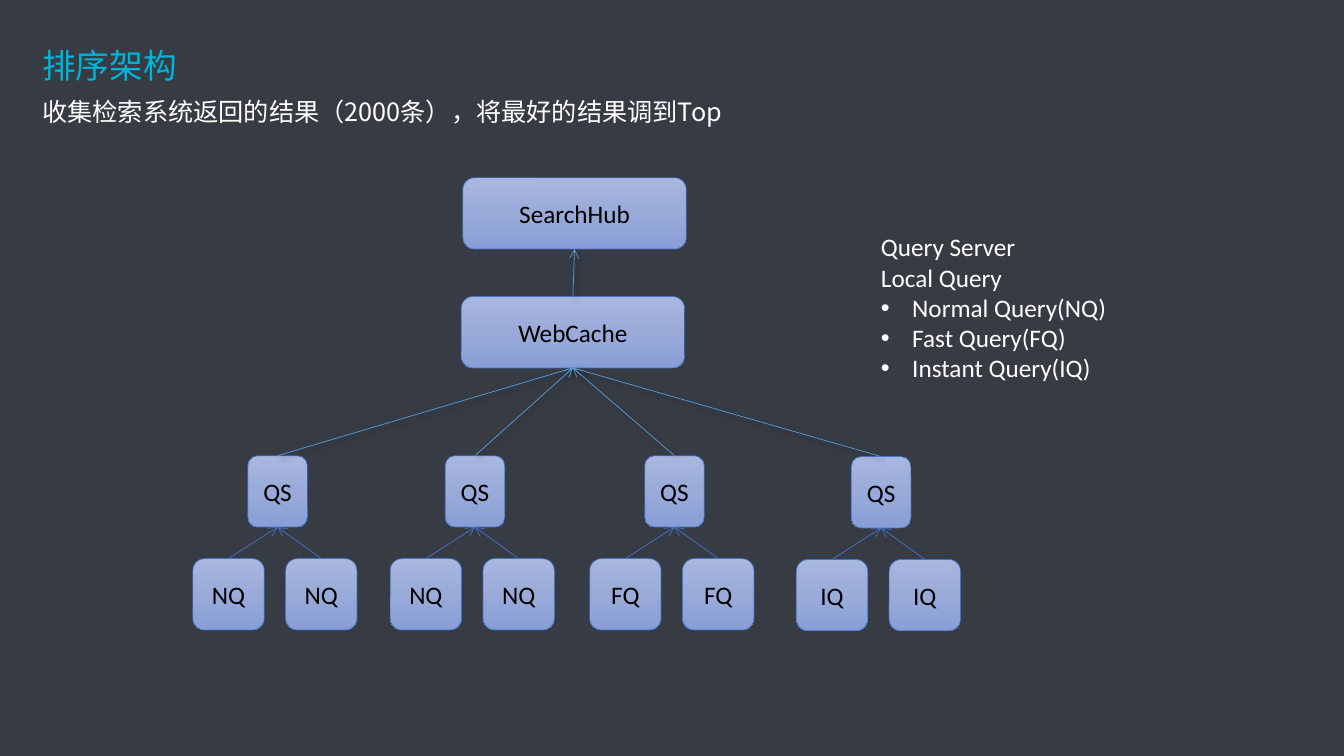
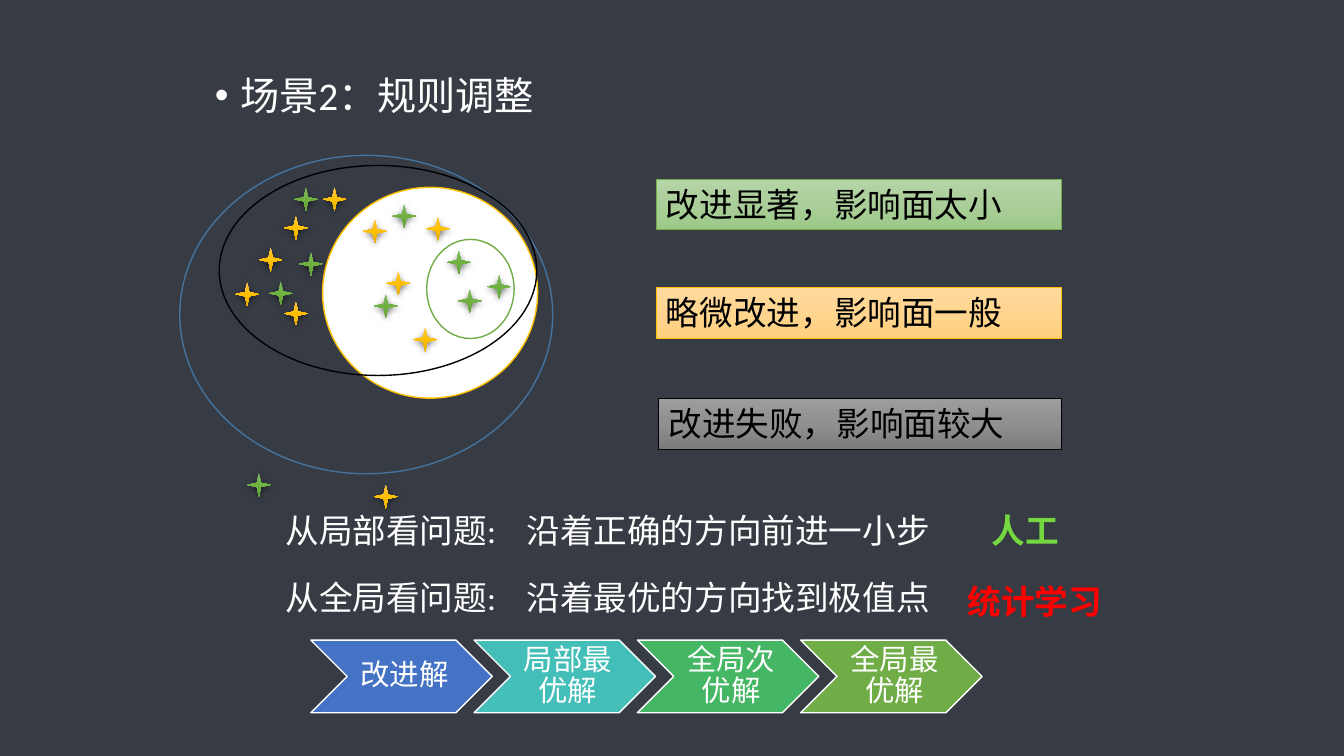
import copy

import lxml.etree
import pptx
import pptx.dml.color
import pptx.enum.shapes
import pptx.enum.text
import pptx.oxml.ns
import pptx.util

COLORS = {
    "background": "373B44", "white": "FFFFFF", "black": "000000",
    "title": "00B4D9", "blue": "4472C4", "sky": "5B9BD5", "steel": "43739E",
    "teal": "43BEB9", "emerald": "45B664", "green": "70AD47",
    "gold": "FFC000", "lime": "75D840", "red": "FF0000",
}
GRADIENTS = {
    "node": ("A8B7DF", "9AABD9", "889ED7"),
    "green bar": ("B5D5A7", "AACE9A", "9CC987"),
    "gold bar": ("FFDB9E", "FFD590", "FFD07C"),
    "gray bar": ("9D9D9D", "909090", "7C7C7C"),
    "green star": ("81B861", "6FB242", "62A336"),
    "gold star": ("FFC64B", "FFC000", "E3AB00"),
}
SHAPES = pptx.enum.shapes.MSO_SHAPE
ALIGN = pptx.enum.text.PP_ALIGN
ANCHOR = pptx.enum.text.MSO_ANCHOR
CJK_FONT = "Noto Sans CJK SC"
COLUMNS, ROWS = 160, 90


def add_element(parent, tag, **attributes):
    """Append a drawing element with the given attributes."""
    values = {name: str(value) for name, value in attributes.items()}
    return lxml.etree.SubElement(parent, pptx.oxml.ns.qn(tag), values)


def rgb(name):
    """Return the colour for a palette name."""
    return pptx.dml.color.RGBColor.from_string(COLORS[name])


class Deck:
    """Holds the presentation, its style and the current slide."""

    def __init__(self):
        """Create an empty wide presentation."""
        self.presentation = pptx.Presentation()
        self.presentation.slide_width = pptx.util.Inches(13.33)
        self.presentation.slide_height = pptx.util.Inches(7.5)
        self.slide = None

    def new_slide(self):
        """Start a blank slide with the shared background."""
        self.slide = self.presentation.slides.add_slide(self.presentation.slide_layouts[6])
        self.slide.background.fill.solid()
        self.slide.background.fill.fore_color.rgb = rgb("background")

    def place(self, column, row, columns, rows):
        """Turn a grid area into slide lengths."""
        cell_width = self.presentation.slide_width / COLUMNS
        cell_height = self.presentation.slide_height / ROWS
        return (round(column * cell_width), round(row * cell_height),
                round(columns * cell_width), round(rows * cell_height))

    def shadow(self, effects, opacity, blur, distance, angle):
        """Add an outer shadow to an effect list."""
        outer = add_element(effects, "a:outerShdw", blurRad=pptx.util.Pt(blur),
                            dist=pptx.util.Pt(distance), dir=angle * 60000,
                            algn="ctr", rotWithShape=0)
        color = add_element(outer, "a:srgbClr", val=COLORS["black"])
        add_element(color, "a:alpha", val=opacity * 1000)

    def shape(self, kind, area, fill=None, line=None, weight=0.5):
        """Add a preset shape with a plain, gradient or empty fill."""
        shape = self.slide.shapes.add_shape(kind, *self.place(*area))
        shape.shadow.inherit = False
        if fill in GRADIENTS:
            self.gradient(shape, GRADIENTS[fill])
        elif fill:
            shape.fill.solid()
            shape.fill.fore_color.rgb = rgb(fill)
        else:
            shape.fill.background()
        if line:
            shape.line.color.rgb = rgb(line)
            shape.line.width = pptx.util.Pt(weight)
        else:
            shape.line.fill.background()
        return shape

    def gradient(self, shape, colors):
        """Fill a shape from top to bottom with three colours."""
        shape.fill.gradient()
        shape.fill.gradient_angle = 270
        stops = shape._element.spPr.find(".//" + pptx.oxml.ns.qn("a:gsLst"))
        stops.insert(1, copy.deepcopy(stops[0]))
        for index, (stop, color) in enumerate(zip(shape.fill.gradient_stops, colors)):
            stop.position = index / 2
            stop.color.rgb = pptx.dml.color.RGBColor.from_string(color)

    def add_lines(self, shape, lines, size, color, font="Calibri", bold=False,
                  align=ALIGN.LEFT, anchor=ANCHOR.TOP, spacing=None, indent=0.31, tab=None):
        """Put lines into a shape; a leading bullet sign makes a list item."""
        frame = shape.text_frame
        frame.word_wrap = True
        frame.vertical_anchor = anchor
        for index, line in enumerate(lines):
            paragraph = frame.add_paragraph() if index else frame.paragraphs[0]
            paragraph.alignment = align
            if spacing:
                paragraph.line_spacing = spacing
            properties = paragraph._p.get_or_add_pPr()
            if line.startswith("•"):
                properties.set("marL", str(pptx.util.Inches(indent)))
                properties.set("indent", str(-pptx.util.Inches(indent)))
                add_element(properties, "a:buFont", typeface="Arial")
                add_element(properties, "a:buChar", char="•")
            if tab:
                tabs = add_element(properties, "a:tabLst")
                add_element(tabs, "a:tab", pos=pptx.util.Inches(tab), algn="l")
            run = paragraph.add_run()
            run.text = line.removeprefix("•")
            run.font.name = font
            run.font.size = pptx.util.Pt(size)
            run.font.bold = bold
            run.font.color.rgb = rgb(color)
            add_element(run._r.get_or_add_rPr(), "a:ea", typeface=CJK_FONT)

    def text(self, area, lines, size, color="white", **style):
        """Add a text box."""
        box = self.slide.shapes.add_textbox(*self.place(*area))
        self.add_lines(box, lines, size, color, **style)

    def node(self, label, center, top, columns=8.5):
        """Add a labelled rounded box centred on a column."""
        area = (center - columns / 2, top, columns, 8.5)
        box = self.shape(SHAPES.ROUNDED_RECTANGLE, area, "node", "blue")
        self.add_lines(box, [label], 18, "black", align=ALIGN.CENTER, anchor=ANCHOR.MIDDLE)
        return box

    def arrow(self, child, parent, color, shadow=False):
        """Connect the top of a child to the bottom of its parent."""
        arrow = self.slide.shapes.add_connector(
            pptx.enum.shapes.MSO_CONNECTOR.STRAIGHT, 0, 0, 0, 0)
        arrow.begin_connect(child, 0)
        arrow.end_connect(parent, 2)
        arrow.line.color.rgb = rgb(color)
        arrow.line.width = pptx.util.Pt(0.5)
        outline = arrow._element.spPr.find(pptx.oxml.ns.qn("a:ln"))
        add_element(outline, "a:tailEnd", type="arrow")
        effects = add_element(arrow._element.spPr, "a:effectLst")
        if shadow:
            self.shadow(effects, 40, 4, 3, 45)

    def star(self, column, row, fill):
        """Add a small four-pointed star with a shadow."""
        star = self.shape(SHAPES.STAR_4_POINT, (column, row, 2.85, 2.85), fill)
        effects = star._element.spPr.find(pptx.oxml.ns.qn("a:effectLst"))
        self.shadow(effects, 63, 4.5, 1.5, 90)

    def ellipse(self, area, line, fill=None):
        """Add an outlined ellipse."""
        self.shape(SHAPES.OVAL, area, fill, line, 1)

    def bar(self, area, label, fill, line):
        """Add a labelled gradient bar."""
        bar = self.shape(SHAPES.RECTANGLE, area, fill, line)
        self.add_lines(bar, [label], 24, "black")

    def chevrons(self, column, row, columns, rows, steps):
        """Add a row of overlapping process steps."""
        for index, (label, fill) in enumerate(steps):
            area = (column + index * columns * 0.9, row, columns, rows)
            chevron = self.shape(SHAPES.CHEVRON, area, fill, "white", 1)
            frame = chevron.text_frame
            frame.margin_left = pptx.util.Inches(0.09)
            frame.margin_right = frame.margin_top = frame.margin_bottom = pptx.util.Inches(0.03)
            self.add_lines(chevron, [label], 21, "white", align=ALIGN.CENTER,
                           anchor=ANCHOR.MIDDLE, spacing=0.9)


def ranking_slide(deck):
    """Build the ranking architecture slide."""
    deck.new_slide()
    servers = []
    for center, top, label in ((33.05, 54.25, "NQ"), (56.55, 54.25, "NQ"),
                               (80.3, 54.25, "FQ"), (104.9, 54.35, "IQ")):
        server = deck.node("QS", center, top, 7.1)
        servers.append(server)
        for offset in (-5.85, 5.2):
            query = deck.node(label, center + offset, top + 12.25)
            deck.arrow(query, server, "blue")
    cache = deck.node("WebCache", 68.2, 35.3, 26.6)
    hub = deck.node("SearchHub", 68.4, 21.15, 26.6)
    for server in servers:
        deck.arrow(server, cache, "sky", shadow=True)
    deck.arrow(cache, hub, "sky", shadow=True)
    deck.text((103.7, 27, 34, 19.5), ["Query Server", "Local Query", "•Normal Query(NQ)",
                                      "•Fast Query(FQ)", "•Instant Query(IQ)"], 18)
    deck.text((3.85, 4.7, 40, 6), ["排序架构"], 24, "title", font=CJK_FONT)
    deck.text((3.85, 10.9, 148, 4.85),
              ["收集检索系统返回的结果（2000条），将最好的结果调到Top"], 18, font=CJK_FONT)


def rules_slide(deck):
    """Build the rule adjustment slide."""
    deck.new_slide()
    deck.chevrons(37, 76.2, 21.6, 8.65, (("改进解", "blue"), ("局部最优解", "teal"),
                                         ("全局次优解", "emerald"), ("全局最优解", "green")))
    deck.ellipse((38.4, 22.3, 25.6, 25.1), "gold", "white")
    deck.ellipse((50.8, 28.5, 10.4, 11.8), "green")
    deck.ellipse((21.4, 18.5, 44.4, 37.9), "steel")
    deck.text((24.4, 8.5, 108, 7.2), ["•场景2：规则调整"], 28, spacing=0.9, indent=0.25)
    deck.bar((78.1, 21.3, 48.3, 6.05), "改进显著，影响面太小", "green bar", "green")
    deck.bar((78.1, 34.2, 48.3, 6.05), "略微改进，影响面一般", "gold bar", "gold")
    deck.bar((78.4, 47.4, 48, 6.05), "改进失败，影响面较大", "gray bar", "black")
    stars = {
        "green star": ((54.5, 34.4), (58, 32.7), (53.2, 29.8), (46.7, 24.3), (44.5, 35),
                       (29.4, 56.3), (35.6, 30), (35, 22.3), (32, 33.5)),
        "gold star": ((43.2, 26.1), (50.7, 25.8), (49.2, 39), (44.5, 57.7), (46, 32.3),
                      (38.4, 22.3), (30.8, 29.5), (33.8, 35.9), (33.8, 25.7), (28, 33.6)),
    }
    for fill, places in stars.items():
        for column, row in places:
            deck.star(column, row, fill)
    deck.ellipse((26.1, 19.7, 37.8, 25), "black")
    for row, line in ((60.1, "从局部看问题:\t沿着正确的方向前进一小步"),
                      (68.1, "从全局看问题:\t沿着最优的方向找到极值点")):
        deck.text((32.8, row, 88.3, 6.05), [line], 24, tab=2.39)
    deck.text((116.9, 60.1, 15.1, 6.05), ["人工"], 24, "lime", bold=True)
    deck.text((114, 68.6, 19.8, 6.05), ["统计学习"], 24, "red", bold=True)


def main():
    """Build and save the presentation."""
    deck = Deck()
    ranking_slide(deck)
    rules_slide(deck)
    deck.presentation.save("out.pptx")


if __name__ == "__main__":
    main()
